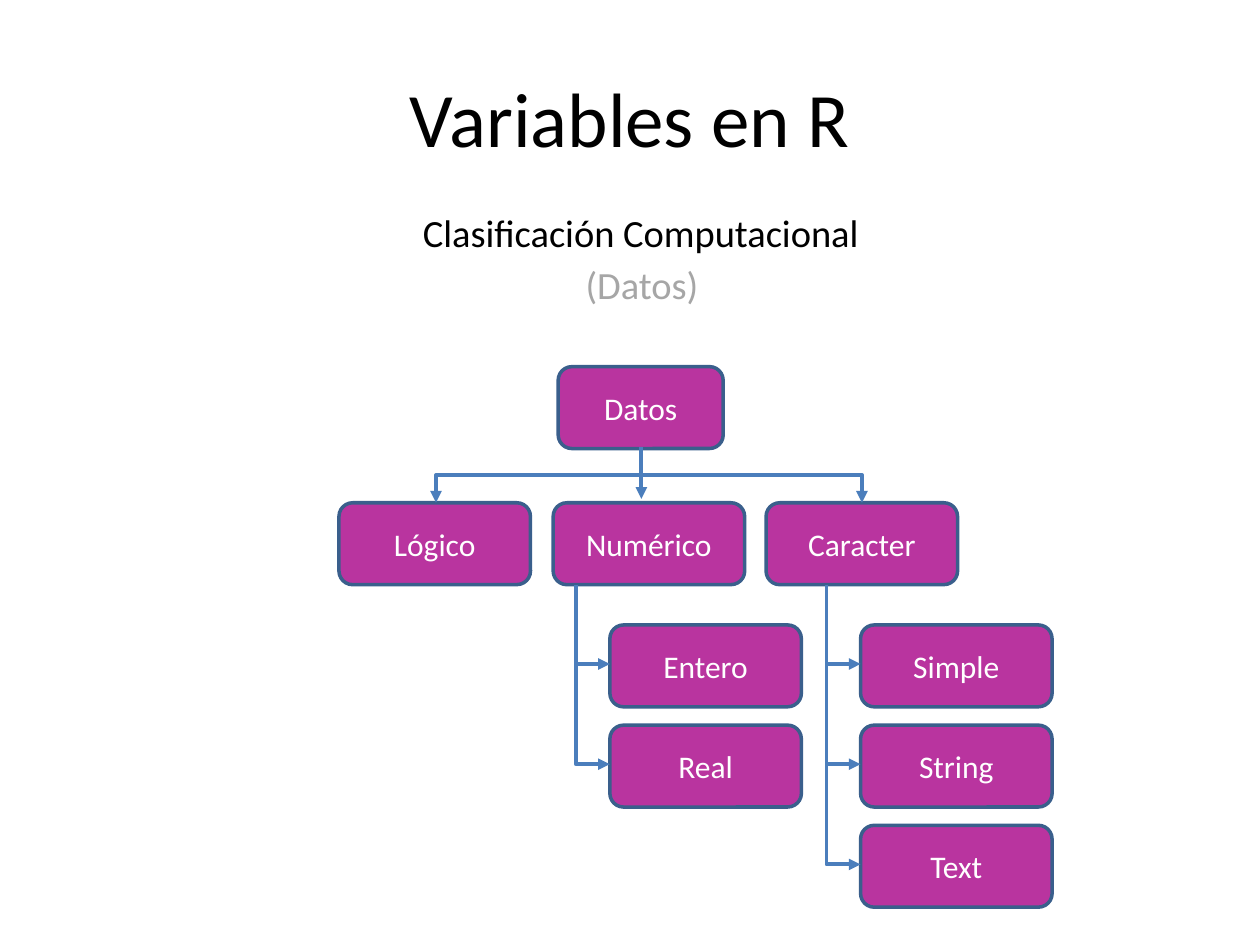
from dataclasses import dataclass
from lxml.etree import SubElement
from pptx import Presentation
from pptx.dml.color import RGBColor as RGB
from pptx.enum.shapes import MSO_CONNECTOR as LINK, MSO_SHAPE as SHAPE
from pptx.enum.text import MSO_ANCHOR as ANCHOR, PP_ALIGN as ALIGN
from pptx.oxml.ns import qn
from pptx.util import Inches, Pt


@dataclass(frozen=True)
class Theme:
    """Colours, font and type sizes of the slide."""
    font: str = "Calibri"
    ink: str = "000000"
    muted: str = "A6A6A6"
    paper: str = "FFFFFF"
    fill: str = "B9349F"
    edge: str = "3A5F8C"
    link: str = "4B7EBC"
    title: int = 44
    sub: int = 22
    node: int = 18


THEME = Theme()
WIDE, HIGH = 1.52, 0.65
KIND_TOP = 3.99
LEAF_TOP, LEAF_STEP = 4.96, 0.795
ROOT_X, ROOT_END = 5.09, 3.55


def write(frame, text, size, color):
    """Put one centred paragraph in a text frame."""
    frame.text = text
    line = frame.paragraphs[0]
    line.alignment = ALIGN.CENTER
    line.font.name = THEME.font
    line.font.size = Pt(size)
    line.font.color.rgb = RGB.from_string(color)


def add_title(slide, text):
    """Place and fill the title."""
    title = slide.shapes.title
    title.left, title.top = Inches(0.5), Inches(0.3)
    title.width, title.height = Inches(9), Inches(1.25)
    title.text_frame.vertical_anchor = ANCHOR.MIDDLE
    write(title.text_frame, text, THEME.title, THEME.ink)


def add_label(slide, text, left, top, width, color):
    """Add one subtitle line."""
    box = slide.shapes.add_textbox(Inches(left), Inches(top), Inches(width), Inches(0.47))
    box.text_frame.word_wrap = False
    write(box.text_frame, text, THEME.sub, color)


def add_node(slide, text, left, top, width=WIDE):
    """Add one rounded box of the tree."""
    node = slide.shapes.add_shape(
        SHAPE.ROUNDED_RECTANGLE, Inches(left), Inches(top), Inches(width), Inches(HIGH))
    node.shadow.inherit = False
    node.fill.solid()
    node.fill.fore_color.rgb = RGB.from_string(THEME.fill)
    node.line.color.rgb = RGB.from_string(THEME.edge)
    node.line.width = Pt(2)
    node.text_frame.vertical_anchor = ANCHOR.MIDDLE
    write(node.text_frame, text, THEME.node, THEME.paper)


def add_link(slide, x, y, end_x, end_y, preset="bentConnector3"):
    """Add an elbow arrow that leaves downwards, as a turned frame."""
    mid_x, mid_y = (x + end_x) / 2, (y + end_y) / 2
    half_w, half_h = (end_y - y) / 2, abs(end_x - x) / 2
    right = end_x > x
    side = half_w if right else -half_w
    link = slide.shapes.add_connector(
        LINK.ELBOW, Inches(mid_x + side), Inches(mid_y - half_h),
        Inches(mid_x - side), Inches(mid_y + half_h))
    link.line.color.rgb = RGB.from_string(THEME.link)
    link.line.width = Pt(2.25)
    props = link._element.spPr
    props.find(qn("a:xfrm")).set("rot", str((270 if right else 90) * 60000))
    props.find(qn("a:prstGeom")).set("prst", preset)
    SubElement(props.find(qn("a:ln")), qn("a:tailEnd"), type="triangle")
    SubElement(props, qn("a:effectLst"))


def add_branch(slide, left, names):
    """Add a column of leaves hanging from one stem."""
    stem = left - 0.27
    for row, name in enumerate(names):
        top = LEAF_TOP + row * LEAF_STEP
        add_node(slide, name, left, top)
        add_link(slide, stem, KIND_TOP + HIGH, left, top + 0.31, "bentConnector2")


def main():
    """Build and save the slide."""
    deck = Presentation()
    deck.slide_width, deck.slide_height = Inches(10), Inches(7.5)
    slide = deck.slides.add_slide(deck.slide_layouts[5])
    add_title(slide, "Variables en R")
    add_label(slide, "Clasificación Computacional", 3.24, 1.61, 3.69, THEME.ink)
    add_label(slide, "(Datos)", 4.54, 2.02, 1.11, THEME.muted)
    add_node(slide, "Datos", 4.43, 2.91, 1.31)
    kinds = [("Lógico", 2.69, 3.46, 3.99), ("Numérico", 4.39, ROOT_X, 3.96),
             ("Caracter", 6.08, 6.84, 3.99)]
    for name, left, tip, end in kinds:
        add_node(slide, name, left, KIND_TOP)
        add_link(slide, ROOT_X, ROOT_END, tip, end)
    add_branch(slide, 4.84, ["Entero", "Real"])
    add_branch(slide, 6.83, ["Simple", "String", "Text"])
    deck.save("out.pptx")


if __name__ == "__main__":
    main()
